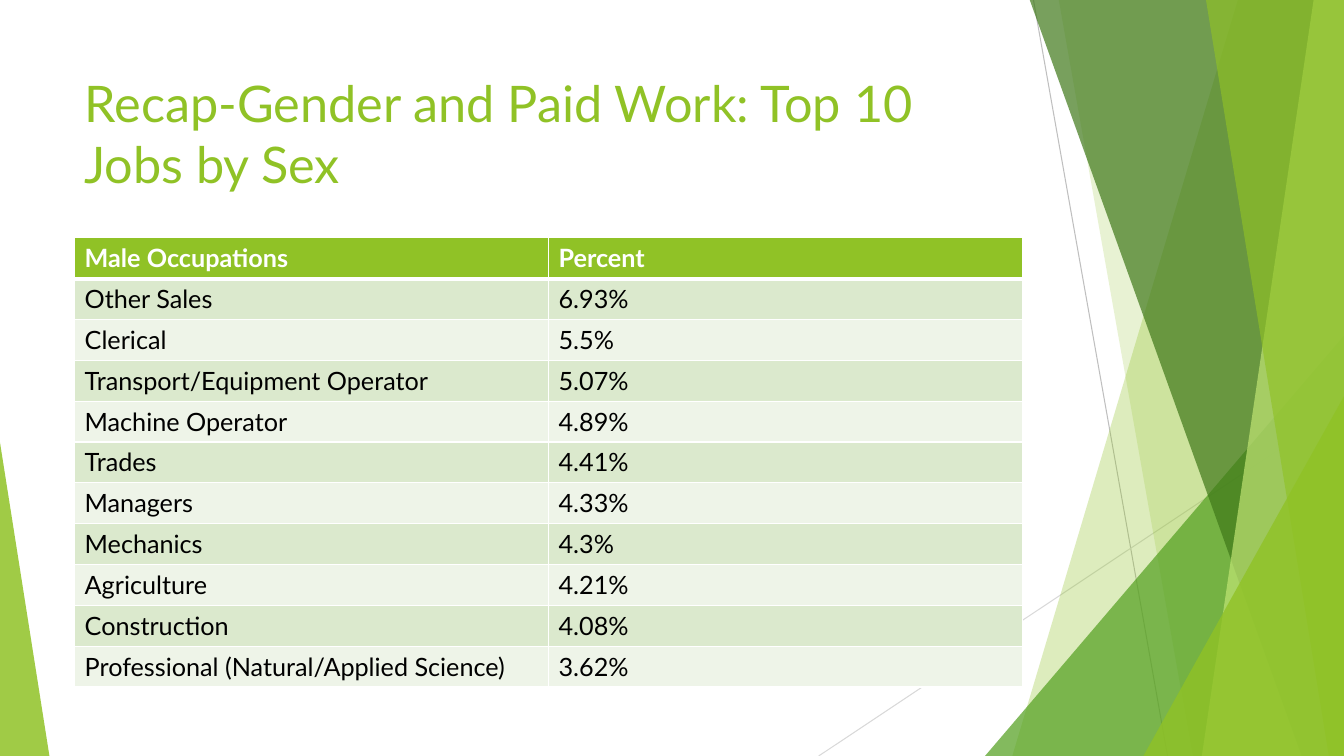
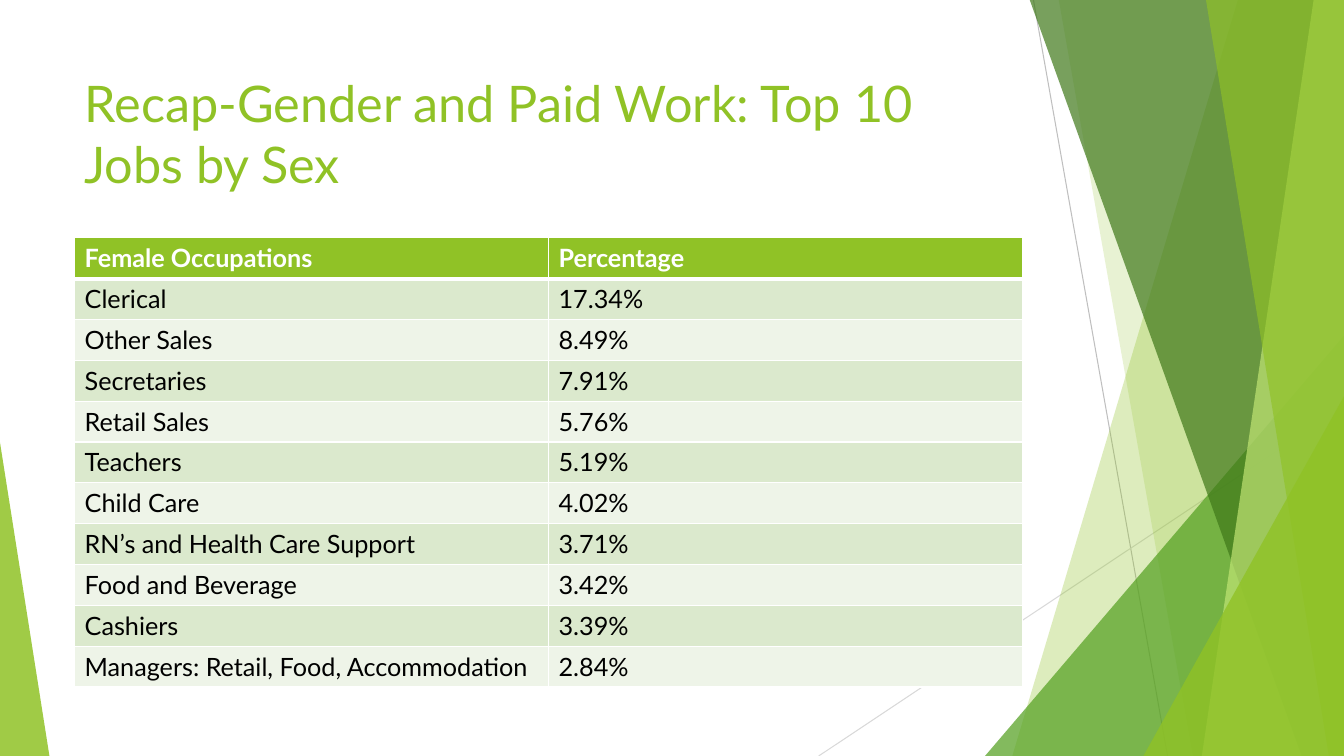
"""Build two slides that list the top ten jobs of men and of women."""

from lxml import etree
from pptx import Presentation
from pptx.dml.color import RGBColor
from pptx.enum.shapes import MSO_CONNECTOR, MSO_SHAPE
from pptx.enum.text import MSO_ANCHOR
from pptx.oxml.ns import qn
from pptx.util import Pt

TRIANGLE = MSO_SHAPE.ISOSCELES_TRIANGLE
STRAIGHT = MSO_CONNECTOR.STRAIGHT
TOP = MSO_ANCHOR.TOP

WHITE = RGBColor(0xFF, 0xFF, 0xFF)
BLACK = RGBColor(0x00, 0x00, 0x00)
LIME = RGBColor(0x90, 0xC2, 0x26)
GREEN = RGBColor(0x54, 0xA0, 0x21)
FOREST = RGBColor(0x3F, 0x78, 0x19)
PALE_LIME = RGBColor(0xC0, 0xE4, 0x74)
SILVER = RGBColor(0xBF, 0xBF, 0xBF)
LIGHT_GRAY = RGBColor(0xD9, 0xD9, 0xD9)
ROW_FILLS = (RGBColor(0xDB, 0xE9, 0xCD), RGBColor(0xEE, 0xF4, 0xE8))

FONT = "Lato"
TITLE_SIZE, TABLE_SIZE = 36, 18
EMU_PER_PX = 9144
SLIDE_WIDTH, SLIDE_HEIGHT = 1333, 750
TITLE_BOX = (74, 67, 940, 144)
TABLE_BOX = (74, 236, 940, 446)
BAND_TOP = -1
THIN, THICK = 1, 3

TITLE = "Recap-Gender and Paid Work: Top 10 Jobs by Sex"
TABLES = [
    [
        ("Male Occupations", "Percent"),
        ("Other Sales", "6.93%"),
        ("Clerical", "5.5%"),
        ("Transport/Equipment Operator", "5.07%"),
        ("Machine Operator", "4.89%"),
        ("Trades", "4.41%"),
        ("Managers", "4.33%"),
        ("Mechanics", "4.3%"),
        ("Agriculture", "4.21%"),
        ("Construction", "4.08%"),
        ("Professional (Natural/Applied Science)", "3.62%"),
    ],
    [
        ("Female Occupations", "Percentage"),
        ("Clerical", "17.34%"),
        ("Other Sales", "8.49%"),
        ("Secretaries", "7.91%"),
        ("Retail Sales", "5.76%"),
        ("Teachers", "5.19%"),
        ("Child Care", "4.02%"),
        ("RN’s and Health Care Support", "3.71%"),
        ("Food and Beverage", "3.42%"),
        ("Cashiers", "3.39%"),
        ("Managers: Retail, Food, Accommodation", "2.84%"),
    ],
]

HAIRLINES = [
    ((1025, 0), (1158, SLIDE_HEIGHT), SILVER),
    ((SLIDE_WIDTH, 403), (812, SLIDE_HEIGHT), LIGHT_GRAY),
]
BAND, PEAK = "band", "peak"
BACKDROP = [
    (BAND, (1228, 1004), LIME, 30),
    (BAND, (1050, 1183), LIME, 20),
    (PEAK, (977, 333, 356, 1), GREEN, 72),
    (BAND, (1021, 1291), FOREST, 70),
    (BAND, (1303, 1192), PALE_LIME, 70),
    (BAND, (1196, 1318), LIME, 65),
    (PEAK, (1134, 393, 199, 1), LIME, 80),
    (PEAK, (0, 439, 49, 0), LIME, 85),
]


def px(*lengths):
    return [round(length * EMU_PER_PX) for length in lengths]


def add_hairline(slide, start, end, color):
    line = slide.shapes.add_connector(STRAIGHT, *px(*start, *end))
    line.line.color.rgb = color
    line.line.width = Pt(0.75)
    etree.SubElement(line._element.spPr, qn("a:effectLst"))


def add_band(slide, top_x, bottom_x):
    builder = slide.shapes.build_freeform(top_x, BAND_TOP, scale=EMU_PER_PX)
    builder.add_line_segments(
        [(SLIDE_WIDTH, BAND_TOP), (SLIDE_WIDTH, SLIDE_HEIGHT), (bottom_x, SLIDE_HEIGHT)]
    )
    return builder.convert_to_shape()


def add_peak(slide, left, top, width, apex):
    shape = slide.shapes.add_shape(TRIANGLE, *px(left, top, width, SLIDE_HEIGHT - top))
    shape.adjustments[0] = apex
    return shape


def fill_translucent(shape, color, opacity):
    shape.shadow.inherit = False
    shape.line.fill.background()
    shape.fill.solid()
    shape.fill.fore_color.rgb = color
    color_element = shape._element.spPr.find(qn("a:solidFill")).find(qn("a:srgbClr"))
    etree.SubElement(color_element, qn("a:alpha"), val=str(opacity * 1000))


def add_backdrop(slide):
    for start, end, color in HAIRLINES:
        add_hairline(slide, start, end, color)
    draw = {BAND: add_band, PEAK: add_peak}
    for kind, geometry, color, opacity in BACKDROP:
        fill_translucent(draw[kind](slide, *geometry), color, opacity)


def style_text(paragraph, size, color, bold=False):
    for run in paragraph.runs:
        run.font.name = FONT
        run.font.size = Pt(size)
        run.font.color.rgb = color
        run.font.bold = bold


def add_title(slide):
    text_frame = slide.shapes.add_textbox(*px(*TITLE_BOX)).text_frame
    text_frame.word_wrap = True
    text_frame.vertical_anchor = TOP
    text_frame.text = TITLE
    style_text(text_frame.paragraphs[0], TITLE_SIZE, LIME)


def set_borders(cell, top, bottom):
    properties = cell._tc.get_or_add_tcPr()
    widths = {"a:lnL": THIN, "a:lnR": THIN, "a:lnT": top, "a:lnB": bottom}
    for tag, width in widths.items():
        border = etree.SubElement(properties, qn(tag), w=str(Pt(width)))
        fill = etree.SubElement(border, qn("a:solidFill"))
        etree.SubElement(fill, qn("a:srgbClr"), val=str(WHITE))


def add_jobs_table(slide, rows):
    row_count, column_count = len(rows), len(rows[0])
    table = slide.shapes.add_table(row_count, column_count, *px(*TABLE_BOX)).table
    for row_index, values in enumerate(rows):
        header = row_index == 0
        for column_index, value in enumerate(values):
            cell = table.cell(row_index, column_index)
            set_borders(cell, THICK if row_index == 1 else THIN, THICK if header else THIN)
            cell.fill.solid()
            cell.fill.fore_color.rgb = LIME if header else ROW_FILLS[(row_index - 1) % 2]
            cell.text_frame.text = value
            style_text(
                cell.text_frame.paragraphs[0], TABLE_SIZE, WHITE if header else BLACK, header
            )


def main():
    presentation = Presentation()
    presentation.slide_width, presentation.slide_height = px(SLIDE_WIDTH, SLIDE_HEIGHT)
    blank_layout = presentation.slide_layouts[6]
    for rows in TABLES:
        slide = presentation.slides.add_slide(blank_layout)
        add_backdrop(slide)
        add_title(slide)
        add_jobs_table(slide, rows)
    presentation.save("out.pptx")


if __name__ == "__main__":
    main()
